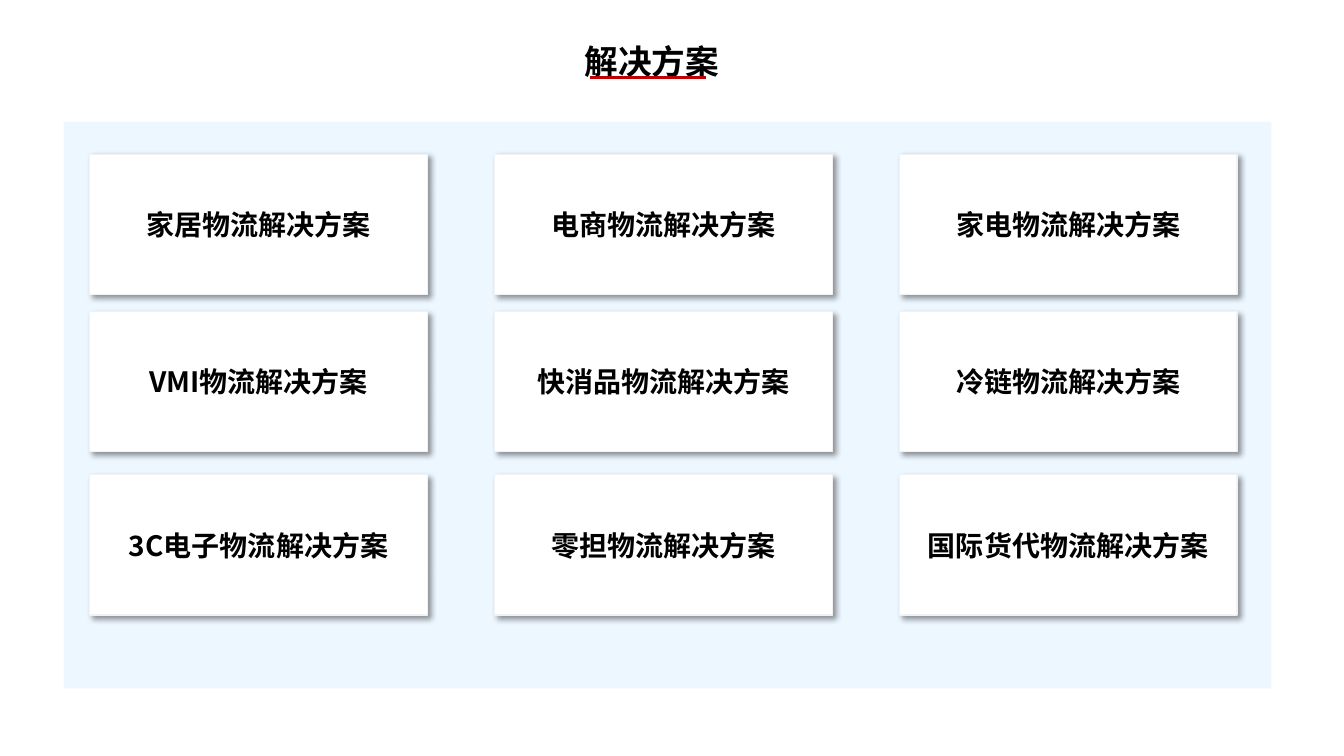
from dataclasses import dataclass

from lxml import etree
from pptx import Presentation
from pptx.dml.color import RGBColor
from pptx.enum.shapes import MSO_CONNECTOR, MSO_SHAPE
from pptx.enum.text import MSO_ANCHOR, MSO_AUTO_SIZE, PP_ALIGN
from pptx.oxml.ns import qn
from pptx.util import Inches, Pt

RECT = MSO_SHAPE.RECTANGLE
LINE = MSO_CONNECTOR.STRAIGHT
MIDDLE = MSO_ANCHOR.MIDDLE
GROW = MSO_AUTO_SIZE.SHAPE_TO_FIT_TEXT
CENTER = PP_ALIGN.CENTER
JUSTIFY = PP_ALIGN.JUSTIFY


@dataclass(frozen=True)
class Theme:
    panel: str = "EDF7FF"
    card: str = "FFFFFF"
    edge: str = "F2F2F2"
    ink: str = "000000"
    accent: str = "C00000"
    latin: str = "Calibri"
    asian: str = "Noto Sans CJK SC"
    title: int = 24
    label: int = 20
    rule: float = 2.25


THEME = Theme()
CARDS = [
    ["家居物流解决方案", "电商物流解决方案", "家电物流解决方案"],
    ["VMI物流解决方案", "快消品物流解决方案", "冷链物流解决方案"],
    ["3C电子物流解决方案", "零担物流解决方案", "国际货代物流解决方案"],
]


def color(code):
    return RGBColor.from_string(code)


def inches(box):
    return [Inches(value) for value in box]


def write(frame, text, size, face, align):
    para = frame.paragraphs[0]
    para.alignment = align
    run = para.add_run()
    run.text = text
    font = run.font
    font.size = Pt(size)
    font.bold = True
    font.color.rgb = color(THEME.ink)
    font.name = face
    etree.SubElement(run._r.get_or_add_rPr(), qn("a:ea"), typeface=THEME.asian)


def block(slide, box, fill):
    shape = slide.shapes.add_shape(RECT, *inches(box))
    shape.shadow.inherit = False
    shape.fill.solid()
    shape.fill.fore_color.rgb = color(fill)
    shape.line.fill.background()
    return shape


def shade(shape):
    effects = shape._element.spPr.find(qn("a:effectLst"))
    outer = etree.SubElement(
        effects, qn("a:outerShdw"), blurRad=str(Pt(4)), dist=str(Pt(3)),
        dir=str(45 * 60000), algn="tl", rotWithShape="0")
    tint = etree.SubElement(outer, qn("a:srgbClr"), val=THEME.ink)
    etree.SubElement(tint, qn("a:alpha"), val="40000")


def card(slide, box, text):
    shape = block(slide, box, THEME.card)
    shape.line.color.rgb = color(THEME.edge)
    shape.line.width = Pt(1)
    shade(shape)
    frame = shape.text_frame
    frame.word_wrap = True
    frame.vertical_anchor = MIDDLE
    write(frame, text, THEME.label, THEME.asian, CENTER)


def heading(slide, box, text):
    left, top, width, height = box
    label = slide.shapes.add_textbox(*inches(box))
    frame = label.text_frame
    frame.word_wrap = False
    frame.auto_size = GROW
    write(frame, text, THEME.title, THEME.latin, JUSTIFY)
    start, end, base = left + 0.15, left + width - 0.24, top + 0.41
    rule = slide.shapes.add_connector(LINE, *inches((start, base, end, base)))
    rule.line.color.rgb = color(THEME.accent)
    rule.line.width = Pt(THEME.rule)
    etree.SubElement(rule._element.spPr, qn("a:effectLst"))


def board(slide, box, rows):
    left, top, width, height = box
    block(slide, box, THEME.panel)
    wide, high = 3.35, 1.39
    near, far = 0.26, 0.34
    pitch = (width - near - far - wide) / (len(rows[0]) - 1)
    for drop, texts in zip((0.32, 1.88, 3.5), rows):
        for col, text in enumerate(texts):
            place = (left + near + col * pitch, top + drop, wide, high)
            card(slide, place, text)


def main():
    deck = Presentation()
    deck.slide_width, deck.slide_height = Inches(13.33), Inches(7.5)
    slide = deck.slides.add_slide(deck.slide_layouts[6])
    board(slide, (0.63, 1.21, 11.98, 5.62), CARDS)
    heading(slide, (5.7, 0.36, 1.54, 0.5), "解决方案")
    deck.save("out.pptx")


if __name__ == "__main__":
    main()
